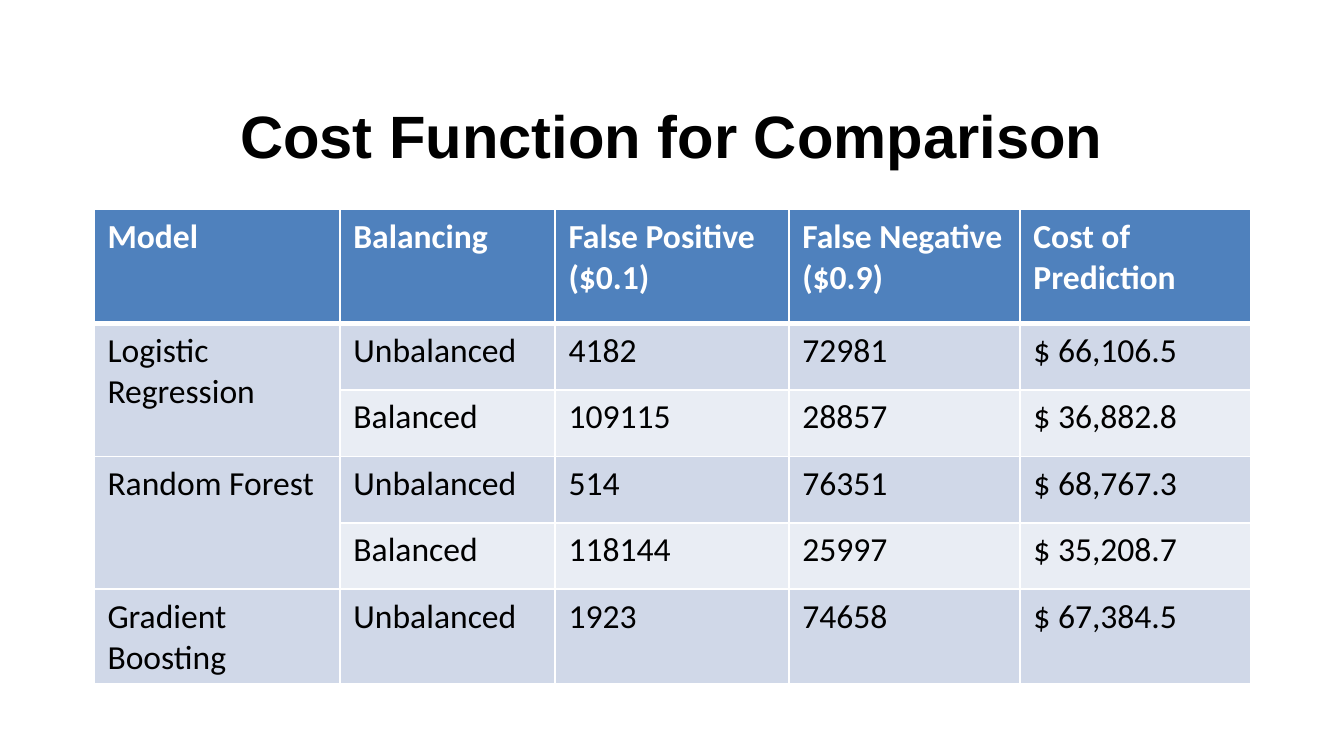
"""Build the cost function comparison slide."""
import dataclasses

import pptx
import pptx.dml.color
import pptx.enum.text
import pptx.oxml
import pptx.oxml.ns
import pptx.util

Inches = pptx.util.Inches
Pt = pptx.util.Pt
RGB = pptx.dml.color.RGBColor.from_string


@dataclasses.dataclass(frozen=True)
class Theme:
    title_font: str = "Arial"
    table_font: str = "Calibri"
    title_size: int = 32
    table_size: int = 18
    dark: str = "000000"
    light: str = "FFFFFF"
    header: str = "4F81BD"
    bands: tuple = ("D0D8E8", "E9EDF4")
    rule: int = 1
    header_rule: int = 3


THEME = Theme()
COLUMN_WIDTHS = (1.83, 1.6, 1.74, 1.72, 1.72)
HEADER_HEIGHT = 0.85
BODY_HEIGHT = 2.47
HEADINGS = ("Model", "Balancing", "False Positive ($0.1)",
            "False Negative ($0.9)", "Cost of Prediction")
MODELS = {
    "Logistic Regression": (
        ("Unbalanced", "4182", "72981", "$ 66,106.5"),
        ("Balanced", "109115", "28857", "$ 36,882.8"),
    ),
    "Random Forest": (
        ("Unbalanced", "514", "76351", "$ 68,767.3"),
        ("Balanced", "118144", "25997", "$ 35,208.7"),
    ),
    "Gradient Boosting": (
        ("Unbalanced", "1923", "74658", "$ 67,384.5"),
    ),
}


def write_text(tf, text, font, size, color, bold):
    p = tf.paragraphs[0]
    r = p.add_run()
    r.text = text
    for name, value in {"name": font, "size": Pt(size), "bold": bold}.items():
        setattr(r.font, name, value)
    r.font.color.rgb = RGB(color)
    return p


def add_title(s, text):
    sp = s.shapes.add_textbox(Inches(0.5), Inches(0.56), Inches(9), Inches(0.88))
    tf = sp.text_frame
    frame = {"word_wrap": True,
             "vertical_anchor": pptx.enum.text.MSO_ANCHOR.MIDDLE}
    for name, value in frame.items():
        setattr(tf, name, value)
    p = write_text(tf, text, THEME.title_font, THEME.title_size, THEME.dark, True)
    p.alignment = pptx.enum.text.PP_ALIGN.CENTER


def set_borders(cell, widths):
    tc_pr = cell._tc.get_or_add_tcPr()
    for side, width in widths.items():
        tc_pr.append(pptx.oxml.parse_xml(
            f'<a:ln{side} {pptx.oxml.ns.nsdecls("a")} w="{int(Pt(width))}">'
            f'<a:solidFill><a:srgbClr val="{THEME.light}"/></a:solidFill>'
            f'</a:ln{side}>'))


def format_cell(cell, row, text):
    header = row == 0
    set_borders(cell, {
        "L": THEME.rule,
        "R": THEME.rule,
        "T": THEME.header_rule if row == 1 else THEME.rule,
        "B": THEME.header_rule if header else THEME.rule,
    })
    cell.fill.solid()
    cell.fill.fore_color.rgb = RGB(
        THEME.header if header else THEME.bands[(row - 1) % 2])
    if text:
        write_text(cell.text_frame, text, THEME.table_font, THEME.table_size,
                   THEME.light if header else THEME.dark, header)


def add_cost_table(s):
    rows = [HEADINGS]
    spans = []
    for model, results in MODELS.items():
        spans.append((len(rows), len(rows) + len(results) - 1))
        for i, result in enumerate(results):
            rows.append(("" if i else model, *result))

    row_height = BODY_HEIGHT / (len(rows) - 1)
    table = s.shapes.add_table(
        len(rows), len(HEADINGS), Inches(0.7), Inches(1.56),
        Inches(sum(COLUMN_WIDTHS)), Inches(HEADER_HEIGHT + BODY_HEIGHT)).table
    for column, width in zip(table.columns, COLUMN_WIDTHS):
        column.width = Inches(width)
    for i, values in enumerate(rows):
        table.rows[i].height = Inches(row_height if i else HEADER_HEIGHT)
        for j, text in enumerate(values):
            format_cell(table.cell(i, j), i, text)
    for first, last in spans:
        if last > first:
            table.cell(first, 0).merge(table.cell(last, 0))


def main():
    prs = pptx.Presentation()
    prs.slide_width = Inches(10)
    prs.slide_height = prs.slide_width * 9 // 16
    s = prs.slides.add_slide(prs.slide_layouts[6])
    add_title(s, "Cost Function for Comparison")
    add_cost_table(s)
    prs.save("out.pptx")


main()
